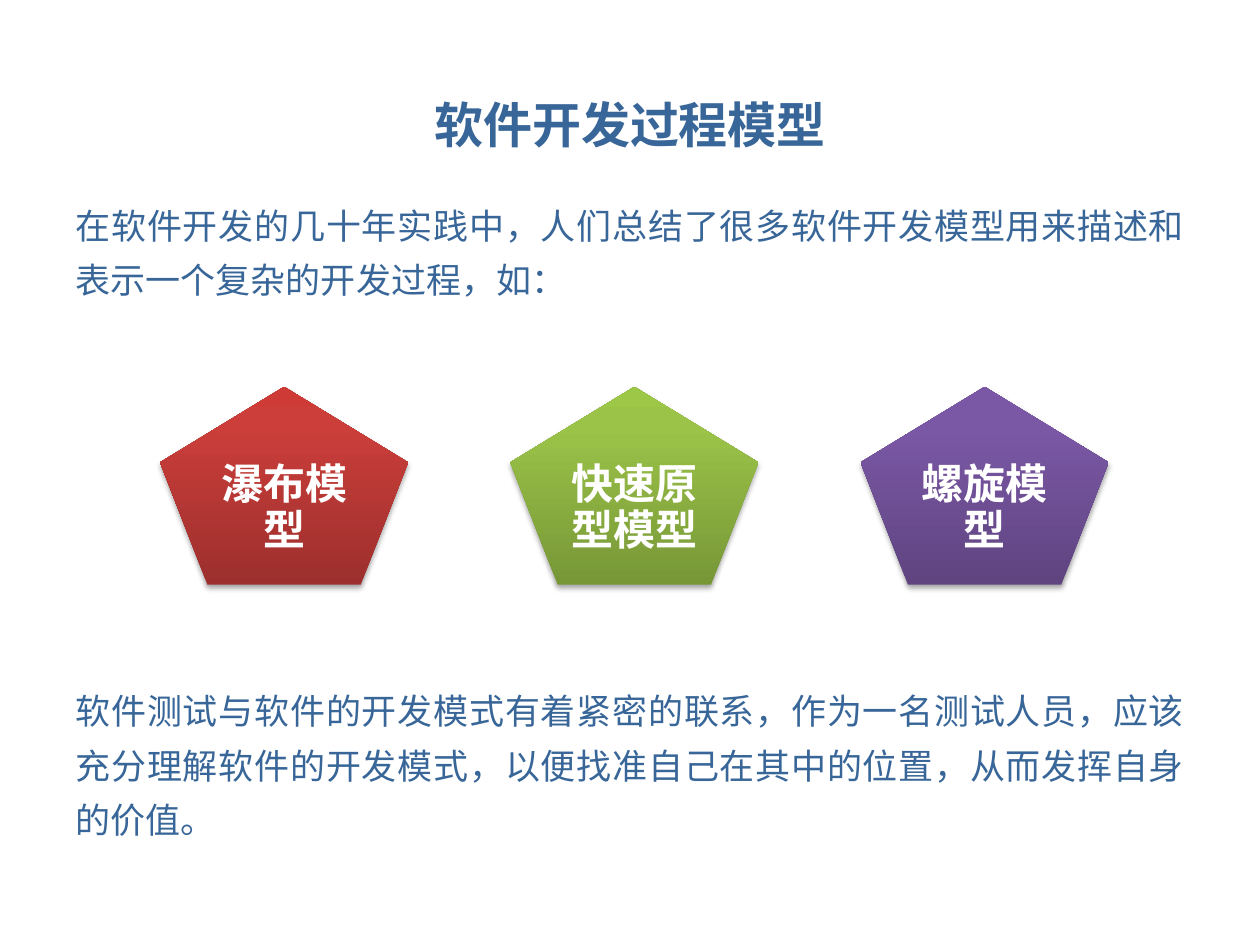
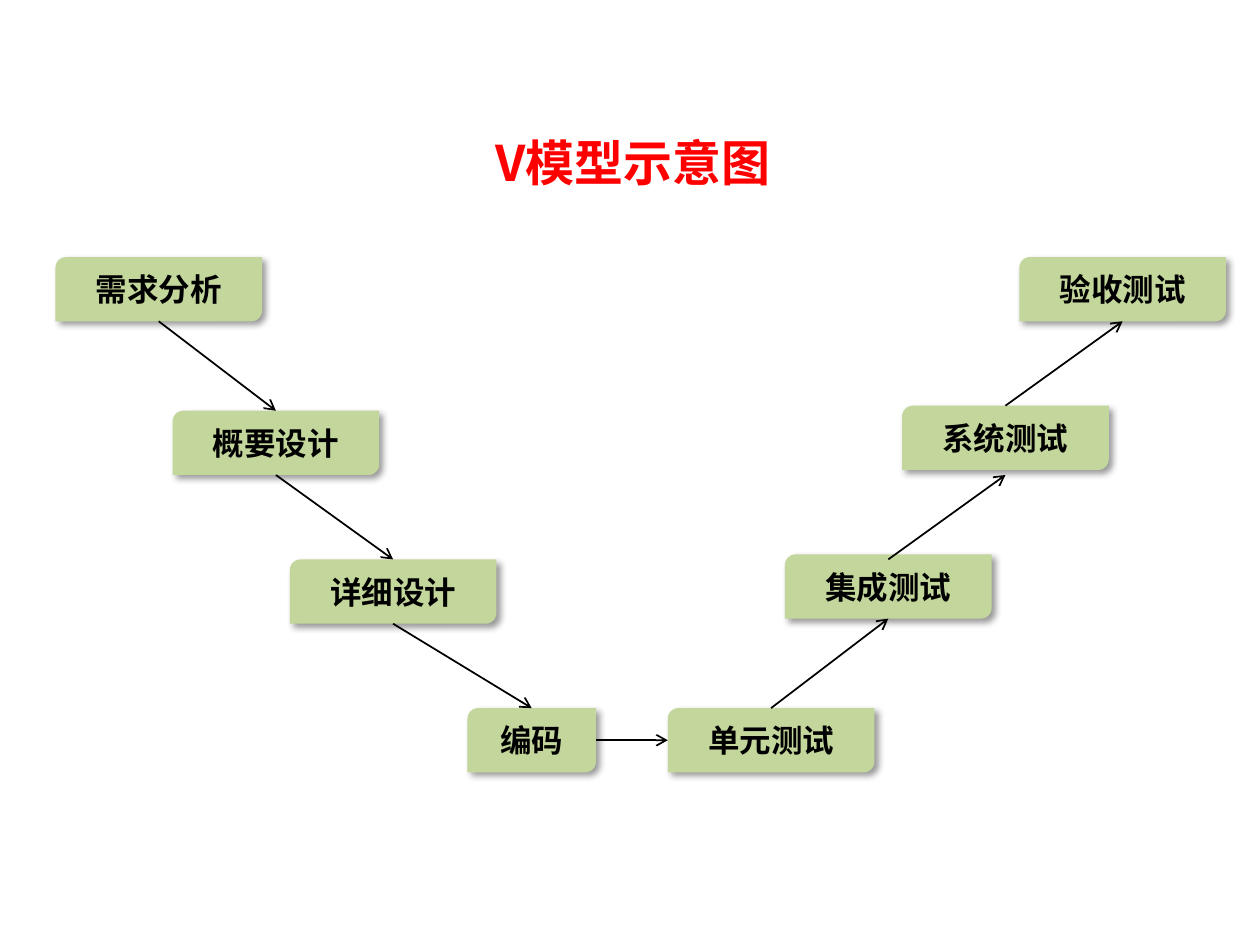
import copy

import pptx
import pptx.util
import pptx.dml.color
import pptx.enum.shapes
import pptx.enum.text
import pptx.oxml
import pptx.oxml.ns
import lxml.etree

Inches, Pt = pptx.util.Inches, pptx.util.Pt
RGBColor = pptx.dml.color.RGBColor
SHAPE = pptx.enum.shapes.MSO_SHAPE
ALIGN = pptx.enum.text.PP_ALIGN
ANCHOR = pptx.enum.text.MSO_ANCHOR
qn = pptx.oxml.ns.qn

BLUE = RGBColor(0x38, 0x66, 0x98)
RED = RGBColor(0xFF, 0x00, 0x00)
BLACK = RGBColor(0x00, 0x00, 0x00)
WHITE = RGBColor(0xFF, 0xFF, 0xFF)
STEP_GREEN = RGBColor(0xC3, 0xD6, 0x9B)
RED_SHADES = (RGBColor(0x9C, 0x2F, 0x2D), RGBColor(0xCB, 0x3E, 0x3A), RGBColor(0xCE, 0x3B, 0x37))
GREEN_SHADES = (RGBColor(0x77, 0x97, 0x37), RGBColor(0x9B, 0xC3, 0x48), RGBColor(0x9D, 0xC7, 0x46))
PURPLE_SHADES = (RGBColor(0x5F, 0x44, 0x80), RGBColor(0x7B, 0x58, 0xA6), RGBColor(0x7C, 0x57, 0xA8))

HEAD_FONT, BODY_FONT, SHAPE_FONT = "Noto Sans CJK SC", "Roboto", "Calibri"

# Pentagon row
PENTAGON_LEFT, PENTAGON_TOP, PENTAGON_PITCH = 1.27, 3.07, 2.78
PENTAGON_W, PENTAGON_H = 1.97, 1.57

# V diagram: columns move sideways by one pitch for each step
STEP_W, CODING_W, STEP_H, STEP_PITCH = 1.64, 1.02, 0.51, 0.93
DESIGN_LEFT, CODING_LEFT, TEST_LEFT = 0.44, 3.71, 5.3
DESIGN_TOPS = (2.04, 3.26, 4.44)
TEST_TOPS = (5.62, 4.4, 3.22, 2.04)
RISES = ((5.62, 4.91), (4.44, 3.77), (3.22, 2.55))


def place(sp, left, top, width, height):
    sp.left, sp.top = Inches(left), Inches(top)
    sp.width, sp.height = Inches(width), Inches(height)


def write(p, text, *, size, font, color, bold=False, align=ALIGN.CENTER,
          line=None, before=None, after=None):
    """Fill paragraph p with one formatted run."""
    p.alignment = align
    p.line_spacing = line
    p.space_before = None if before is None else Pt(before)
    p.space_after = None if after is None else Pt(after)
    r = p.add_run()
    r.text = text
    r.font.size, r.font.bold, r.font.name = Pt(size), bold, font
    r.font.color.rgb = color
    lxml.etree.SubElement(r.font._element, qn("a:ea")).set("typeface", font)


def add_title(s, text, left, top, color):
    place(s.shapes.title, left, top, 6.22, 0.87)
    tf = s.shapes.title.text_frame
    tf.vertical_anchor = ANCHOR.MIDDLE
    write(tf.paragraphs[0], text, size=28, font=HEAD_FONT, color=color, bold=True)


def add_body(s, texts, gaps):
    """Fill the body placeholder with unbulleted text, each after its gap."""
    sp = s.placeholders[1]
    place(sp, 0.5, 1.47, 9, 5.31)
    tf = sp.text_frame
    tf.auto_size = pptx.enum.text.MSO_AUTO_SIZE.NONE
    for i, (text, gap) in enumerate(zip(texts, gaps)):
        p = tf.add_paragraph() if i else tf.paragraphs[0]
        write(p, text, size=20, font=BODY_FONT, color=BLUE,
              align=ALIGN.JUSTIFY, line=1.3, before=gap)
        pPr = p._p.get_or_add_pPr()
        pPr.set("marL", "0")
        pPr.set("indent", "0")
        lxml.etree.SubElement(pPr, qn("a:buNone"))


def set_shadow(sp, opacity, blur, distance, angle):
    sp.shadow.inherit = False
    effects = sp._element.spPr.find(qn("a:effectLst"))
    outer = lxml.etree.SubElement(
        effects, qn("a:outerShdw"), blurRad=str(Pt(blur)), dist=str(Pt(distance)),
        dir=str(angle * 60000), algn="tl", rotWithShape="0")
    color = lxml.etree.SubElement(outer, qn("a:srgbClr"), val=str(BLACK))
    lxml.etree.SubElement(color, qn("a:alpha"), val=str(opacity * 1000))


def set_gradient(sp, shades):
    """Run three shades from the bottom up."""
    sp.fill.gradient()
    sp.fill.gradient_angle = 90
    stops = sp._element.spPr.find(qn("a:gradFill")).find(qn("a:gsLst"))
    stops.append(copy.deepcopy(stops[0]))
    for stop, shade, position in zip(sp.fill.gradient_stops, shades, (0, 0.8, 1)):
        stop.color.rgb = shade
        stop.position = position


def add_block(s, kind, left, top, width, height):
    sp = s.shapes.add_shape(kind, 0, 0, 0, 0)
    place(sp, left, top, width, height)
    sp.line.fill.background()
    sp.text_frame.word_wrap = True
    sp.text_frame.vertical_anchor = ANCHOR.MIDDLE
    return sp


def add_pentagon(s, column, text, shades):
    sp = add_block(s, SHAPE.REGULAR_PENTAGON, PENTAGON_LEFT + column * PENTAGON_PITCH,
                   PENTAGON_TOP, PENTAGON_W, PENTAGON_H)
    set_gradient(sp, shades)
    set_shadow(sp, 35, 3.1, 1.8, 90)
    tf = sp.text_frame
    tf.margin_left = tf.margin_right = 0
    tf.margin_top = tf.margin_bottom = Inches(0.04)
    write(tf.paragraphs[0], text, size=24, font=SHAPE_FONT, color=WHITE,
          bold=True, line=0.9, after=8.4)


def add_step(s, text, left, top, width=STEP_W):
    sp = add_block(s, SHAPE.ROUND_2_DIAG_RECTANGLE, left, top, width, STEP_H)
    sp.fill.solid()
    sp.fill.fore_color.rgb = STEP_GREEN
    set_shadow(sp, 40, 4, 3, 45)
    write(sp.text_frame.paragraphs[0], text, size=18, font=SHAPE_FONT,
          color=BLACK, bold=True)


def add_arrow(s, start, end):
    c = s.shapes.add_connector(pptx.enum.shapes.MSO_CONNECTOR.STRAIGHT,
                               *(Inches(v) for v in (*start, *end)))
    c.line.color.rgb = BLACK
    c.line.width = Pt(1)
    lxml.etree.SubElement(c.line._get_or_add_ln(), qn("a:tailEnd"), type="arrow")
    lxml.etree.SubElement(c._element.spPr, qn("a:effectLst"))


def build_process_models(prs):
    s = prs.slides.add_slide(prs.slide_layouts[1])
    add_title(s, "软件开发过程模型", 1.89, 0.55, BLUE)
    add_body(s, (
        "在软件开发的几十年实践中，人们总结了很多软件开发模型用来描述和表示一个复杂的开发过程，如：",
        "软件测试与软件的开发模式有着紧密的联系，作为一名测试人员，应该充分理解软件的开发模式，"
        "以便找准自己在其中的位置，从而发挥自身的价值。"), gaps=(4, 215))
    models = (("瀑布模型", RED_SHADES), ("快速原型模型", GREEN_SHADES), ("螺旋模型", PURPLE_SHADES))
    for column, (text, shades) in enumerate(models):
        add_pentagon(s, column, text, shades)


def build_v_model(prs):
    s = prs.slides.add_slide(prs.slide_layouts[5])
    add_title(s, "V模型示意图", 1.91, 0.85, RED)

    coding_top = TEST_TOPS[0]
    tops = []
    for i, (text, top) in enumerate(zip(("需求分析", "概要设计", "详细设计"), DESIGN_TOPS)):
        left = DESIGN_LEFT + i * STEP_PITCH
        add_step(s, text, left, top)
        tops.append((left + STEP_W / 2, top))
    add_step(s, "编码", CODING_LEFT, coding_top, CODING_W)
    tops.append((CODING_LEFT + CODING_W / 2, coding_top))
    for (x, top), below in zip(tops, tops[1:]):
        add_arrow(s, (x, top + STEP_H), below)

    middle = coding_top + STEP_H / 2
    add_arrow(s, (CODING_LEFT + CODING_W, middle), (TEST_LEFT, middle))

    for i, (text, top) in enumerate(zip(("单元测试", "集成测试", "系统测试", "验收测试"), TEST_TOPS)):
        add_step(s, text, TEST_LEFT + i * STEP_PITCH, top)
    for i, (low, high) in enumerate(RISES):
        x = TEST_LEFT + STEP_W / 2 + i * STEP_PITCH
        add_arrow(s, (x, low), (x + STEP_PITCH, high))


def main():
    prs = pptx.Presentation()
    prs.slide_width, prs.slide_height = Inches(10), Inches(7.5)
    build_process_models(prs)
    build_v_model(prs)
    prs.save("out.pptx")


if __name__ == "__main__":
    main()
